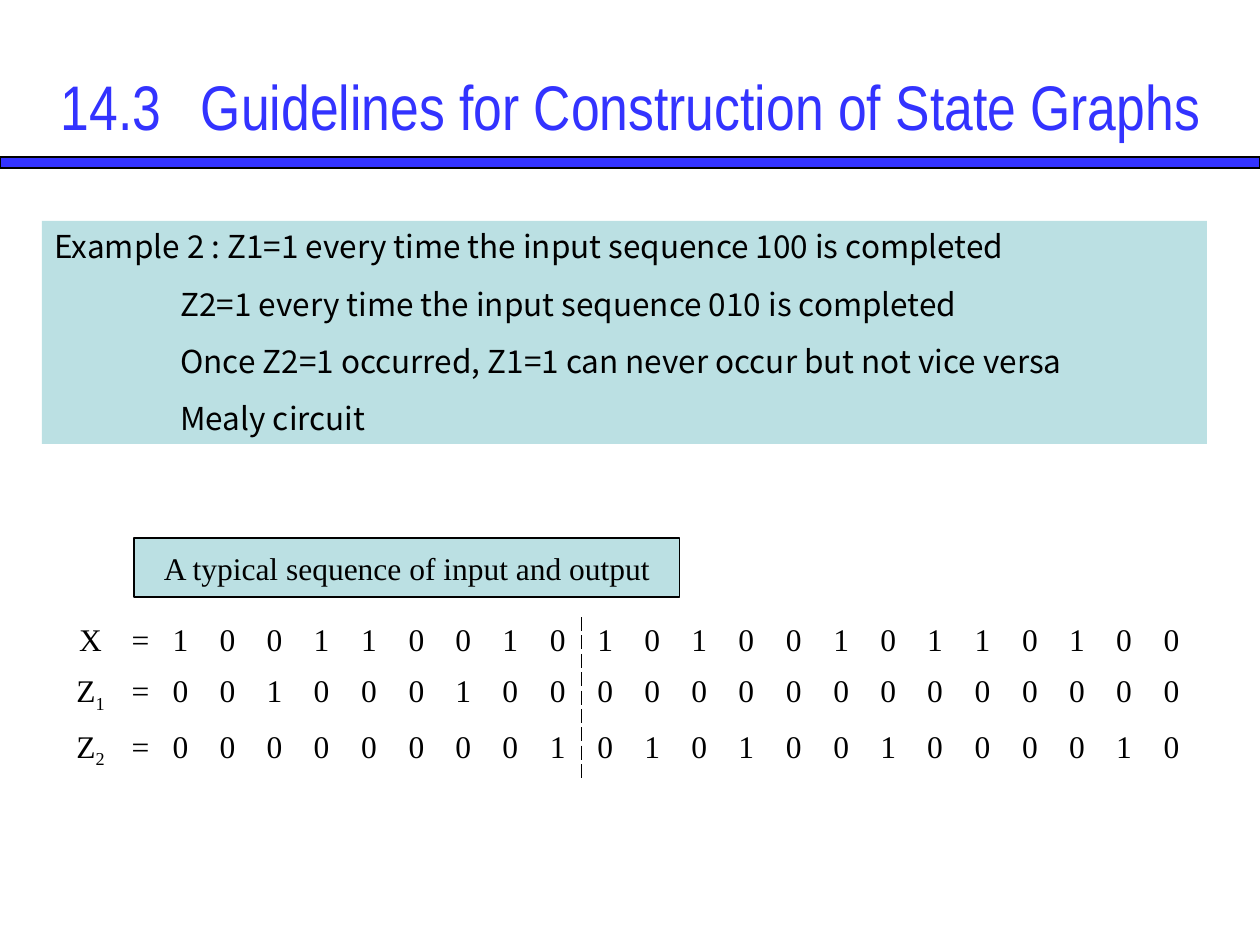
from lxml import etree
from pptx import Presentation
from pptx.dml.color import RGBColor
from pptx.enum.shapes import MSO_SHAPE as Shape
from pptx.enum.text import MSO_ANCHOR as Anchor, PP_ALIGN as Align
from pptx.oxml.ns import qn
from pptx.util import Pt

PX = 914400 // 126
BLUE = RGBColor(0x33, 0x33, 0xFF)
TEAL = RGBColor(0xBB, 0xE0, 0xE3)
BLACK = RGBColor(0, 0, 0)
SERIF = "Times New Roman"
SANS = "Noto Sans CJK KR"


def add_run(par, text, face=SERIF, size=18, color=BLACK):
    run = par.add_run()
    run.text = text
    font = run.font
    font.name, font.size = face, Pt(size)
    font.color.rgb = color
    return run


def add_rect(x, y, w, h, fill, edge=None):
    box = slide.shapes.add_shape(Shape.RECTANGLE, x * PX, y * PX, w * PX, h * PX)
    box.shadow.inherit = False
    box.fill.solid()
    box.fill.fore_color.rgb = fill
    if edge is None:
        box.line.fill.background()
    else:
        box.line.color.rgb = edge
        box.line.width = Pt(0.75)
    return box


deck = Presentation()
deck.slide_width, deck.slide_height = 1260 * PX, 945 * PX
slide = deck.slides.add_slide(deck.slide_layouts[6])

# Title and rule
add_rect(0, 157, 1260, 11, BLUE, BLACK)
title = slide.shapes.add_textbox(25, 26 * PX, 1211 * PX, 158 * PX)
title.left = 25 * PX
frame = title.text_frame
frame.word_wrap = True
frame.vertical_anchor = Anchor.MIDDLE
par = frame.paragraphs[0]
par.alignment = Align.CENTER
add_run(par, "14.3\t Guidelines for Construction of State Graphs", "Arial Narrow", 36, BLUE)

# Example statement, with the later lines indented
lines = [
    "Example 2 : Z1=1 every time the input sequence 100 is completed",
    "Z2=1 every time the input sequence 010 is completed",
    "Once Z2=1 occurred, Z1=1 can never occur but not vice versa",
    "Mealy circuit",
]
frame = add_rect(42, 221, 1165, 223, TEAL).text_frame
frame.word_wrap = True
frame.vertical_anchor = Anchor.TOP
for i, line in enumerate(lines):
    par = frame.paragraphs[0] if i == 0 else frame.add_paragraph()
    par.alignment = Align.LEFT
    if i:
        par.space_before = Pt(11.2)
        par._p.get_or_add_pPr().set("marL", str(126 * PX))
    add_run(par, line, SANS)

# Input and output sequences
rows = [
    ("X", "", "1001100101010010110100"),
    ("Z", "1", "0010001000000000000000"),
    ("Z", "2", "0000000010101001000010"),
]
SPLIT = 10  # last column before the dashed divider
edges = [0, 57] + [95 + 1039 * i // 22 for i in range(23)]
grid = slide.shapes.add_table(3, 24, 62 * PX, 617 * PX, 1134 * PX, 161 * PX).table
grid.first_row = grid.horz_banding = False
for col, left, right in zip(grid.columns, edges, edges[1:]):
    col.width = (right - left) * PX
for row, high in zip(grid.rows, (51, 55, 55)):
    row.height = high * PX

for r, (name, sub, bits) in enumerate(rows):
    for c, text in enumerate([name, "=", *bits]):
        cell = grid.cell(r, c)
        par = cell.text_frame.paragraphs[0]
        par.alignment = Align.CENTER
        add_run(par, text)
        if c == 0 and sub:
            add_run(par, sub).font._element.set("baseline", "-25000")
        # Borders come before the fill in the cell properties
        props = cell._tc.get_or_add_tcPr()
        for side in ("lnL", "lnR", "lnT", "lnB"):
            line = etree.SubElement(props, qn("a:" + side), w="5715")
            if (c, side) in ((SPLIT, "lnR"), (SPLIT + 1, "lnL")):
                ink = etree.SubElement(line, qn("a:solidFill"))
                etree.SubElement(ink, qn("a:srgbClr"), val=str(BLACK))
                etree.SubElement(line, qn("a:prstDash"), val="dash")
            else:
                etree.SubElement(line, qn("a:noFill"))
        cell.fill.background()

# Table caption
frame = add_rect(134, 538, 546, 59, TEAL, BLACK).text_frame
frame.word_wrap = False
frame.vertical_anchor = Anchor.MIDDLE
par = frame.paragraphs[0]
par.alignment = Align.CENTER
add_run(par, "A typical sequence of input and output")

deck.save("out.pptx")
